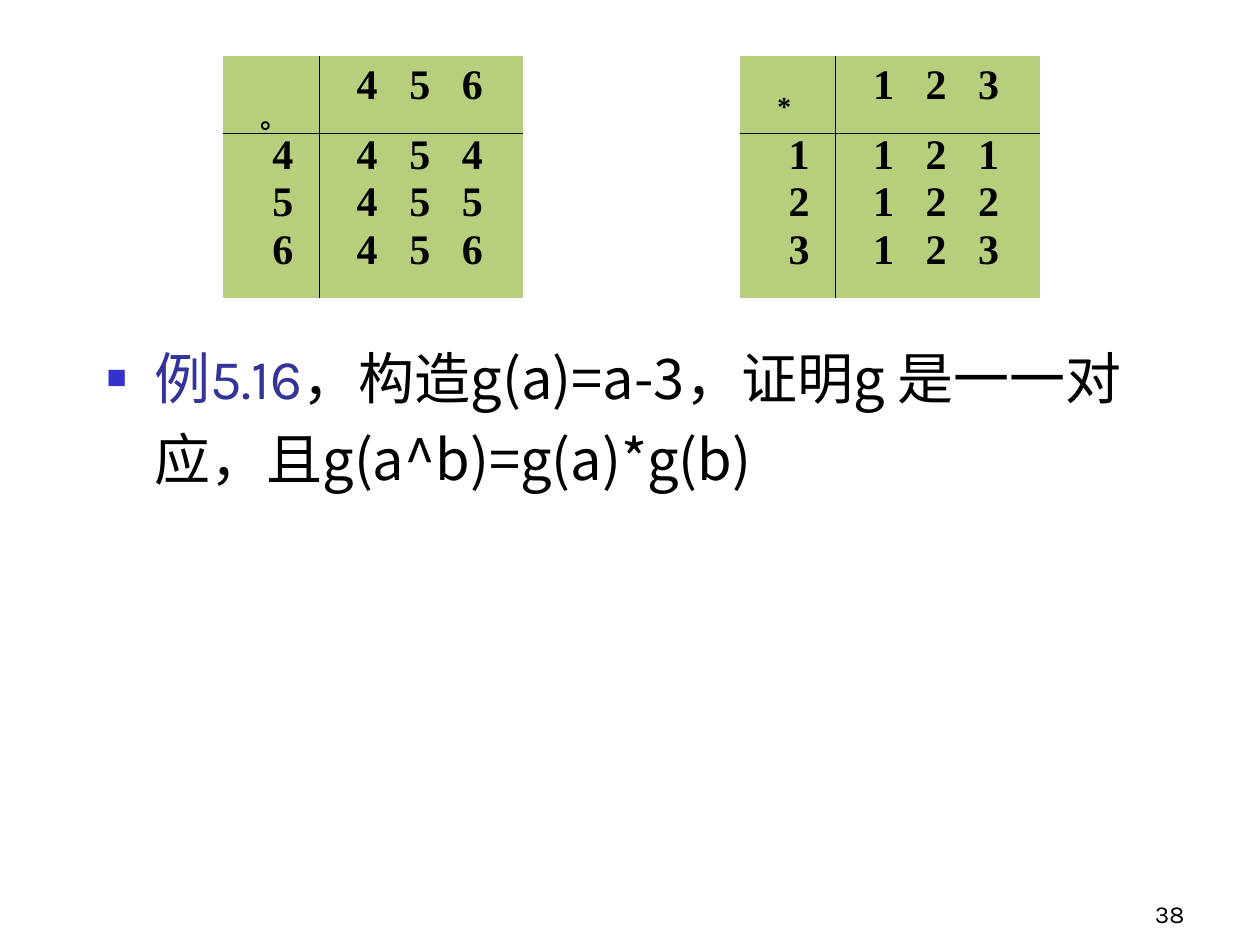
from lxml.etree import SubElement
from pptx import Presentation
from pptx.dml.color import RGBColor
from pptx.enum.text import MSO_ANCHOR, PP_ALIGN
from pptx.oxml import parse_xml
from pptx.oxml.ns import nsdecls, qn
from pptx.util import Cm, Pt

COLORS = {"black": "000000", "navy": "333399", "bullet": "3333CC", "cell": "B7CE7C"}
LATIN, CHINESE, SERIF = "Karla", "Noto Sans CJK SC", "Times New Roman"
DIGIT_PITCH = 1.06


class SlideBuilder:
    def __init__(self, slide):
        self.slide = slide

    def add_run(self, paragraph, text, size, font, color="black", bold=False):
        run = paragraph.add_run()
        run.text = text
        run.font.size = Pt(size)
        run.font.bold = bold
        run.font.color.rgb = RGBColor.from_string(COLORS[color])
        run.font.name = font
        properties = run._r.get_or_add_rPr()
        SubElement(properties, qn("a:ea"), typeface=CHINESE)
        return properties

    def add_text(self, left, top, width, height, runs, size,
                 anchor=MSO_ANCHOR.TOP, alignment=PP_ALIGN.LEFT):
        shape = self.slide.shapes.add_textbox(Cm(left), Cm(top), Cm(width), Cm(height))
        frame = shape.text_frame
        frame.word_wrap = True
        frame.vertical_anchor = anchor
        paragraph = frame.paragraphs[0]
        paragraph.alignment = alignment
        for text, font, color in runs:
            self.add_run(paragraph, text, size, font, color)
        return paragraph

    def add_bullet(self, paragraph):
        properties = paragraph._p.get_or_add_pPr()
        properties.set("marL", str(Cm(0.96)))
        properties.set("indent", str(Cm(-0.96)))
        color = SubElement(properties, qn("a:buClr"))
        SubElement(color, qn("a:srgbClr"), val=COLORS["bullet"])
        SubElement(properties, qn("a:buSzPct"), val="60000")
        SubElement(properties, qn("a:buFont"), typeface=SERIF)
        SubElement(properties, qn("a:buChar"), char="■")

    def add_digit_tabs(self, paragraph, count):
        tabs = SubElement(paragraph._p.get_or_add_pPr(), qn("a:tabLst"))
        for index in range(1, count):
            SubElement(tabs, qn("a:tab"), pos=str(Cm(DIGIT_PITCH * index)), algn="l")

    def style_cell(self, cell, left_margin, inner_sides):
        cell.margin_left = Cm(left_margin)
        cell.margin_right = Cm(0.25)
        cell.margin_top = cell.margin_bottom = Cm(0.13)
        cell.fill.solid()
        cell.fill.fore_color.rgb = RGBColor.from_string(COLORS["cell"])
        properties = cell._tc.get_or_add_tcPr()
        for index, side in enumerate("LRTB"):
            fill = "<a:noFill/>"
            if side in inner_sides:
                fill = f'<a:solidFill><a:srgbClr val="{COLORS["black"]}"/></a:solidFill>'
            line = parse_xml(f'<a:ln{side} {nsdecls("a")} w="{Pt(0.45)}">{fill}</a:ln{side}>')
            properties.insert(index, line)

    def fill_cell(self, cell, rows, spacing=None):
        frame = cell.text_frame
        for index, row in enumerate(rows):
            paragraph = frame.add_paragraph() if index else frame.paragraphs[0]
            self.add_digit_tabs(paragraph, len(row))
            if spacing:
                paragraph.line_spacing = spacing
            if index:
                paragraph.space_before = Pt(6)
            self.add_run(paragraph, "\t".join(row), 24, SERIF, bold=True)

    def add_operation_table(self, left, operator, elements, products):
        shape = self.slide.shapes.add_table(2, 2, Cm(left), Cm(1.12), Cm(6.05), Cm(4.88))
        table = shape.table
        table.first_row = table.horz_banding = False
        for column, width in zip(table.columns, (1.93, 4.12)):
            column.width = Cm(width)
        for row, height in zip(table.rows, (1.55, 3.33)):
            row.height = Cm(height)
        corner, header, labels, body = table.iter_cells()
        for cell, margin, sides in ((corner, 0.76, "RB"), (header, 0.76, "LB"),
                                    (labels, 0.99, "RT"), (body, 0.76, "LT")):
            self.style_cell(cell, margin, sides)
        symbol = self.add_run(corner.text_frame.paragraphs[0], operator, 27, SERIF, bold=True)
        symbol.set("baseline", "-25000")
        self.fill_cell(header, [elements])
        self.fill_cell(labels, elements, 0.8)
        self.fill_cell(body, products, 0.8)


def main():
    presentation = Presentation()
    presentation.slide_width, presentation.slide_height = Cm(25.4), Cm(19.05)
    builder = SlideBuilder(presentation.slides.add_slide(presentation.slide_layouts[6]))
    example = builder.add_text(1.9, 6.53, 21.6, 11.43, [
        ("例5.16", LATIN, "navy"),
        ("，构造g(a)=a-3，证明g 是一一对应，且g(a^b)=g(a)*g(b)", CHINESE, "black"),
    ], 32)
    builder.add_bullet(example)
    example.line_spacing = 1.2
    builder.add_text(18.85, 17.58, 5.28, 1.27, [("38", LATIN, "black")], 14,
                     MSO_ANCHOR.BOTTOM, PP_ALIGN.RIGHT)
    builder.add_operation_table(4.5, "。", "456", ["454", "455", "456"])
    builder.add_operation_table(14.91, "*", "123", ["121", "122", "123"])
    presentation.save("out.pptx")


if __name__ == "__main__":
    main()
